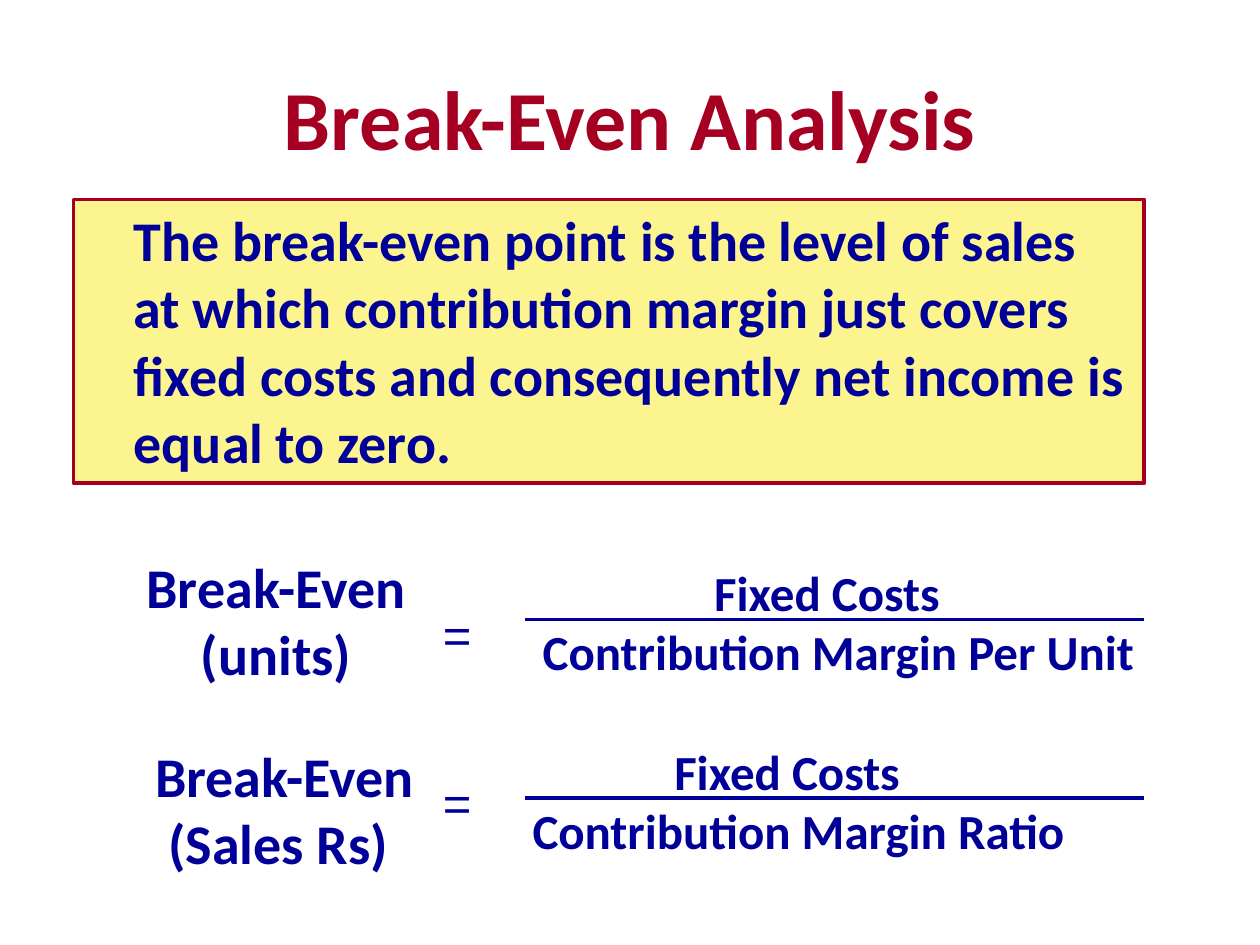
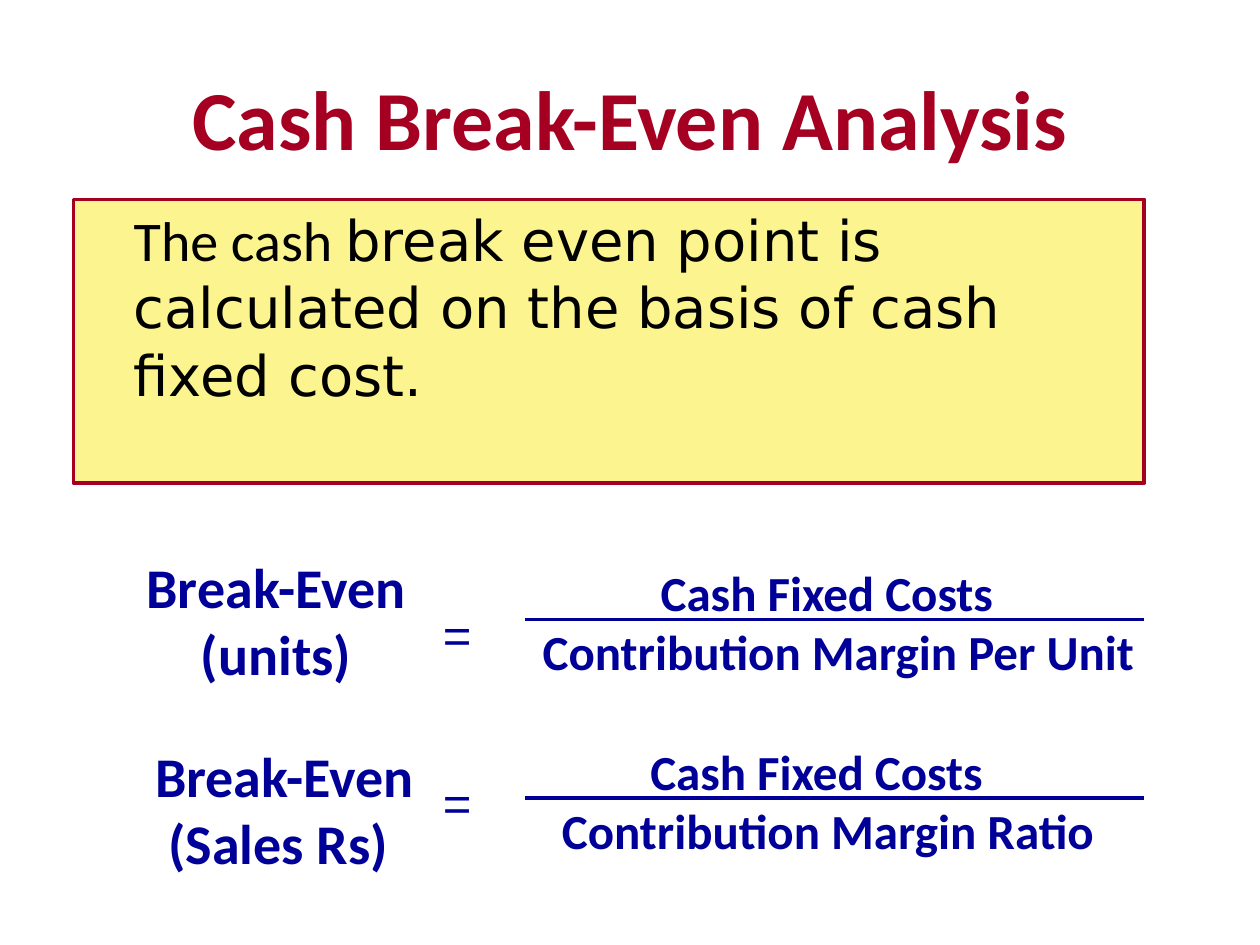
"""Build two break-even analysis slides with a definition and two formulas each."""
from lxml import etree
from pptx import Presentation
from pptx.dml.color import RGBColor
from pptx.enum.shapes import MSO_CONNECTOR, MSO_SHAPE
from pptx.enum.text import MSO_ANCHOR, PP_ALIGN
from pptx.oxml.ns import qn
from pptx.util import Inches, Pt

LEFT, CENTER = PP_ALIGN.LEFT, PP_ALIGN.CENTER
TOP, MIDDLE = MSO_ANCHOR.TOP, MSO_ANCHOR.MIDDLE
RECTANGLE, STRAIGHT = MSO_SHAPE.RECTANGLE, MSO_CONNECTOR.STRAIGHT
COLORS = {"red": "A50021", "yellow": "FCF48E", "navy": "000099", "black": "000000"}
COLORS = {name: RGBColor.from_string(value) for name, value in COLORS.items()}

deck = Presentation()
deck.slide_width, deck.slide_height = Inches(10), Inches(7.5)
CELL = deck.slide_width / 120
RULE_WIDTH = Pt(2.25)


def cells(*counts):
    return [round(count * CELL) for count in counts]


def write(box, text, size=32, color="navy", font="Calibri", bold=True, align=CENTER,
          anchor=TOP, wrap=True, indent=0, new=False):
    frame = box.text_frame
    frame.word_wrap, frame.vertical_anchor = wrap, anchor
    para = frame.add_paragraph() if new else frame.paragraphs[-1]
    para.alignment = align
    if indent:
        para._p.get_or_add_pPr().set("marL", str(Inches(indent)))
        para._p.get_or_add_pPr().set("indent", "0")
    span = para.add_run()
    span.text = text
    span.font.size, span.font.name, span.font.bold = Pt(size), font, bold
    span.font.color.rgb = COLORS[color]


plain = {"color": "black", "bold": False}
pages = [
    {"title": "Break-Even Analysis",
     "definition": [("The break-even point is the level of sales at which contribution margin "
                     "just covers fixed costs and consequently net income is equal to zero.", {})],
     "numerator": "Fixed Costs", "ratio_column": 47.4},
    {"title": "Cash Break-Even Analysis",
     "definition": [("The cash ", plain),
                    ("break even point is calculated on the basis of cash fixed cost.",
                     {**plain, "font": "DejaVu Sans"})],
     "numerator": "Cash Fixed Costs", "ratio_column": 50.2},
]

for content in pages:
    page = deck.slides.add_slide(deck.slide_layouts[6])
    title = page.shapes.add_textbox(*cells(6, 3.6, 108, 15))
    write(title, content["title"], size=48, color="red", anchor=MIDDLE)

    panel = page.shapes.add_shape(RECTANGLE, *cells(7, 19, 102, 27))
    panel.shadow.inherit = False
    panel.fill.solid()
    panel.fill.fore_color.rgb = COLORS["yellow"]
    panel.line.color.rgb = COLORS["red"]
    panel.line.width = RULE_WIDTH
    for text, style in content["definition"]:
        write(panel, text, align=LEFT, indent=0.38, **style)

    units = page.shapes.add_textbox(*cells(12.2, 52, 28.2, 13.9))
    write(units, "Break-Even ", wrap=False)
    write(units, "(units)", wrap=False, new=True)
    sales = page.shapes.add_textbox(*cells(10, 70, 34.2, 13.9))
    write(sales, "Break-Even (Sales Rs) ")

    fractions = [
        ("Contribution Margin Per Unit", 48.4, 53, 60.7, 57),
        ("Contribution Margin Ratio", content["ratio_column"], 70, 55.1, 73),
    ]
    for denominator, column, row, width, equals_row in fractions:
        equals = page.shapes.add_textbox(*cells(41, equals_row, 5, 6.7))
        write(equals, "=", size=28, font="Arial", bold=False, align=LEFT)

        fraction = page.shapes.add_textbox(*cells(column, row, width, 12.4))
        fraction.text_frame.margin_left = fraction.text_frame.margin_right = 0
        write(fraction, content["numerator"], size=28)
        write(fraction, denominator, size=28, indent=0.18, new=True)

        bar = page.shapes.add_connector(STRAIGHT, *cells(50, row + 6, 109, row + 6))
        bar.line.color.rgb = COLORS["navy"]
        bar.line.width = RULE_WIDTH
        etree.SubElement(bar._element.spPr, qn("a:effectLst"))

deck.save("out.pptx")
